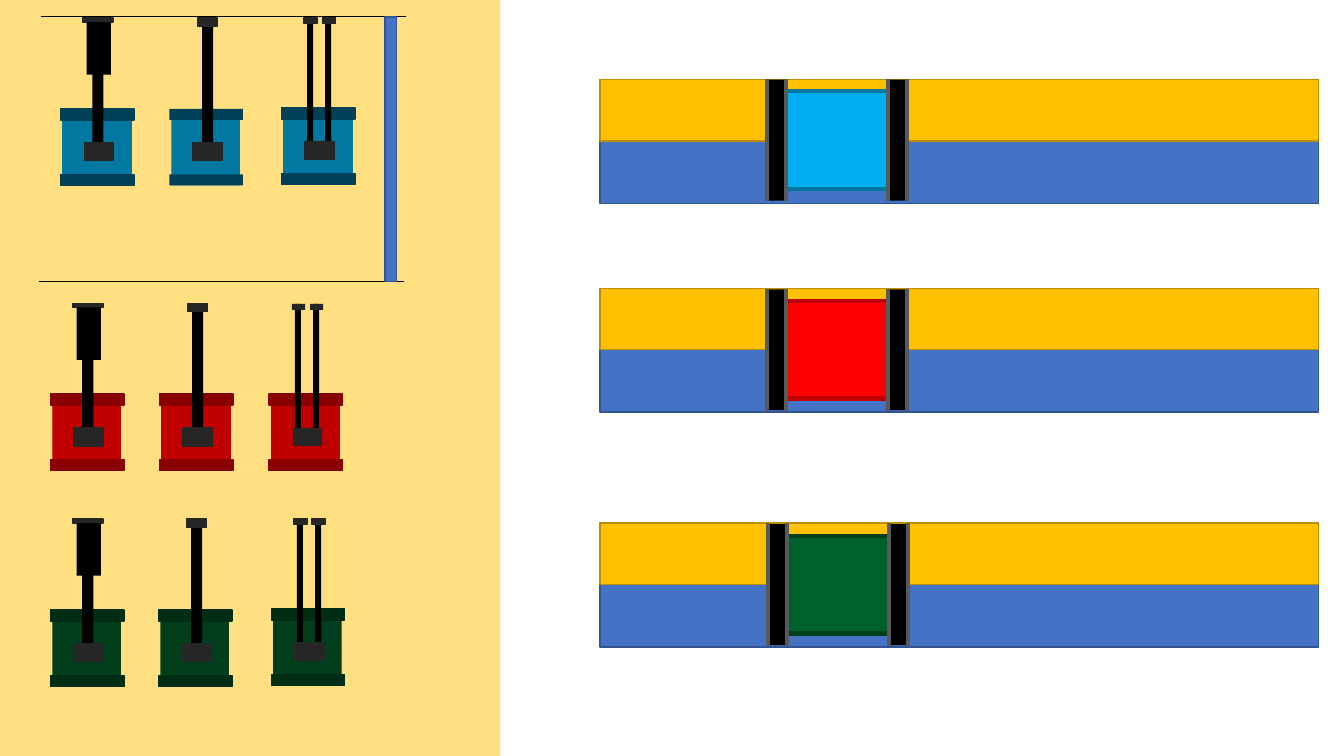
"""Build a slide of three rows of pumps beside three gated channels."""
from lxml import etree
from pptx import Presentation
from pptx import util as u
from pptx.dml.color import RGBColor
from pptx.enum import shapes
from pptx.oxml.ns import qn

PX = 9144
THEME = {
    "sand": "FFC000", "rim": "BD8E00", "water": "4472C4", "bank": "325491",
    "black": "000000", "steel": "262626", "post": "595959",
    "blue": ("00B0F0", "0078A2", "004158"),
    "red": ("FF0000", "C00000", "8A0000"),
    "green": ("00602B", "003E1C", "002E15"),
    "thick": 1, "thin": 0.5,
}


def tint(paint, code):
    paint.solid()
    paint.fore_color.rgb = RGBColor.from_string(code)


def block(host, frame, fill, edge=None, turn=0):
    x, y, w, h = (n * PX for n in frame)
    item = host.shapes.add_shape(shapes.MSO_SHAPE.RECTANGLE, x, y, w, h)
    item.rotation = turn
    item.shadow.inherit = False
    tint(item.fill, fill)
    if edge:
        tint(item.line.fill, edge)
        item.line.width = u.Pt(THEME["thick"])
    else:
        item.line.fill.background()
    return item


deck = Presentation()
size = {"slide_width": 1333 * PX, "slide_height": 750 * PX}
for name, value in size.items():
    setattr(deck, name, value)
slide = deck.slides.add_slide(deck.slide_layouts[6])

ground = block(slide, (0, 0, 496, 750), THEME["sand"])
shade = ground.fill._xPr.find(".//" + qn("a:srgbClr"))
etree.SubElement(shade, qn("a:alpha"), val="50000")

rows = (519, 286, 79)
for high, fill, edge in ((123, "water", "bank"), (61, "sand", "rim")):
    for top in rows:
        block(slide, (595, top, 713, high), THEME[fill], THEME[edge])

gates = (("red", 759, 287), ("blue", 759, 79), ("green", 760, 520))
for hue, left, top in gates:
    pale, mid, deep = THEME[hue]
    trim = mid if hue != "green" else THEME["green"][1]
    gate = slide.shapes.add_group_shape()
    block(gate, (left + 22, top + 10, 98, 100), pale, pale)
    for drop in (10, 107):
        block(gate, (left + 22, top + drop, 97, 3), trim, trim)
    for side in (120, 0):
        block(gate, (left + side, top, 22, 120), THEME["black"])
        for inset in (19, 0):
            block(gate, (left + side + inset, top, 3, 120),
                  THEME["post"], THEME["post"])

for left, top in ((41, 16), (39, 279)):
    rule = slide.shapes.add_connector(
        shapes.MSO_CONNECTOR.STRAIGHT,
        left * PX, top * PX, (left + 362) * PX, top * PX)
    tint(rule.line.fill, THEME["black"])
    rule.line.width = u.Pt(THEME["thin"])
    etree.SubElement(rule._element.spPr, qn("a:effectLst"))
block(slide, (382, 17, 11, 262), THEME["water"], THEME["bank"])

tank = (
    ("body", (2, 6, 68, 70), 0),
    ("trim", (0, 0, 73, 11), 0),
    ("trim", (0, 65, 73, 11), 0),
)
clamp = ("steel", (29, 28, 18, 29), 90)
kinds = {
    "twin": (
        ("black", (-22, -24, 137, 6), 90),
        ("black", (-40, -24, 137, 6), 90),
        ("steel", (26, -93, 6, 13), 90),
        clamp,
        ("steel", (44, -93, 6, 13), 90),
    ),
    "mono": (
        ("black", (-25, -28, 126, 11), 90),
        clamp,
        ("steel", (34, -96, 8, 20), 90),
    ),
    "wide": (
        ("black", (-26, -24, 126, 11), 90),
        ("steel", (35, -103, 4, 30), 90),
        ("black", (12, -72, 52, 24), 90),
        clamp,
    ),
}
pumps = (
    ("blue", "twin", 279, 107, ("trim", "body", "steel")),
    ("blue", "mono", 168, 108, ("steel",)),
    ("blue", "wide", 60, 108, ("trim", "body", "steel")),
    ("red", "twin", 267, 391, ("trim",)),
    ("red", "mono", 158, 391, ("trim", "body", "steel")),
    ("red", "wide", 50, 391, ("trim", "steel")),
    ("green", "twin", 269, 604, ("trim", "steel")),
    ("green", "mono", 157, 605, ("trim", "steel")),
    ("green", "wide", 50, 605, ("trim", "steel")),
)
for hue, kind, left, top, lined in pumps:
    hues = {**THEME, "body": THEME[hue][1], "trim": THEME[hue][2]}
    pump = slide.shapes.add_group_shape()
    for part, (x, y, w, h), turn in tank + kinds[kind]:
        edge = hues[part] if part in lined else None
        block(pump, (left + x, top + y, w, h), hues[part], edge, turn)

deck.save("out.pptx")
